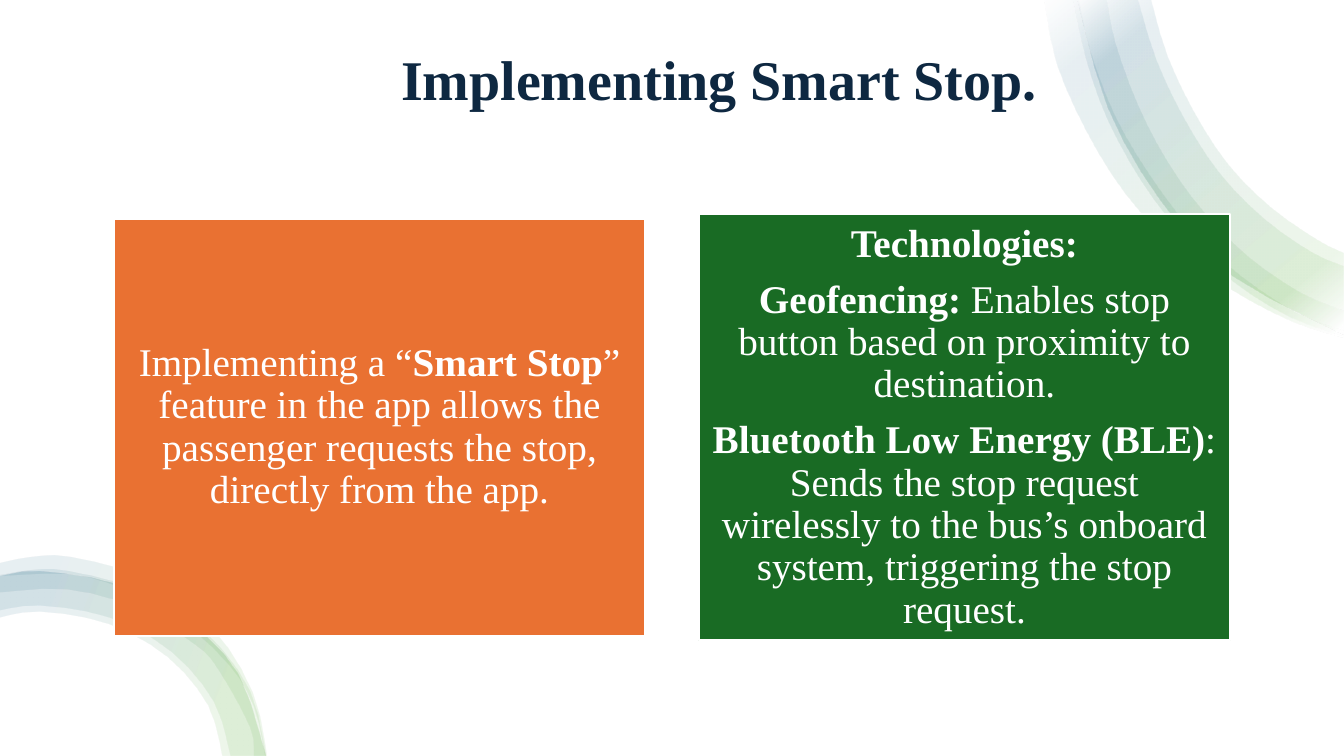
from dataclasses import dataclass

from pptx import Presentation
from pptx import util as u
from pptx.dml.color import RGBColor
from pptx.enum import shapes, text
from pptx.oxml import parse_xml
from pptx.oxml.ns import nsdecls, qn

FONT = "Times New Roman"
COLORS = {
    "white": "FFFFFF",
    "navy": "0E2841",
    "orange": "E97132",
    "forest": "196B24",
    "leaf": "4EA72E",
    "teal": "156082",
}
CORNER_STOPS = [(2, "white"), (16, "leaf"), (85, "teal"), (100, "white")]
FOOT_STOPS = CORNER_STOPS[1:3]
BAND_OPACITY = 10
CURVE_STEPS = 3
POINT_UNIT = 2.54
SLIDE_WIDTH = 33.87
SLIDE_HEIGHT = 19.05

Point = tuple[float, float]
Run = tuple[str, bool]


@dataclass
class Band:
    outer: list[Point]
    inner: list[Point]


@dataclass
class Card:
    left: float
    top: float
    width: float
    height: float
    color: str
    paragraphs: list[list[Run]]


CORNER_EDGE = [(10.69, 0), (10.99, 1.07), (11.52, 2), (12.23, 2.74), (13.33, 3.32)]
FOOT_EDGE = [(0, 5.72), (0.4, 5.67), (1.17, 5.8), (1.85, 6.16), (2.36, 6.69), (2.63, 7.5)]

CORNER_BANDS = [
    Band(
        [(10.36, 0), (10.48, 0.63), (10.78, 1.31), (11.16, 1.92), (11.65, 2.45),
         (12.21, 2.87), (12.82, 3.19), (13.33, 3.35)],
        [(13.33, 3.28), (12.86, 3.1), (12.3, 2.73), (11.81, 2.27), (11.4, 1.73),
         (11.06, 1.15), (10.82, 0.52), (10.7, 0)],
    ),
    Band(
        CORNER_EDGE,
        [(13.33, 2.51), (13.07, 2.38), (12.61, 2.06), (12.19, 1.64), (11.85, 1.12),
         (11.58, 0.55), (11.42, 0)],
    ),
    Band(
        [(10.65, 0), (10.78, 0.6), (10.99, 1.19), (11.32, 1.79), (11.73, 2.33),
         (12.23, 2.79), (12.79, 3.14), (13.33, 3.33)],
        [(13.33, 3.08), (12.9, 2.9), (12.39, 2.55), (11.95, 2.11), (11.58, 1.6),
         (11.29, 1.04), (11.07, 0.44), (10.98, 0)],
    ),
    Band(
        CORNER_EDGE,
        [(13.33, 2.64), (13.01, 2.5), (12.54, 2.17), (12.1, 1.72), (11.75, 1.18),
         (11.47, 0.59), (11.29, 0)],
    ),
]
FOOT_BANDS = [
    Band(
        FOOT_EDGE,
        [(2.2, 7.5), (2.06, 7), (1.66, 6.52), (1.07, 6.19), (0.4, 6.07), (0, 6.13)],
    ),
    Band(
        FOOT_EDGE,
        [(2.28, 7.5), (2.12, 6.97), (1.7, 6.47), (1.09, 6.13), (0.4, 6.01), (0, 6.06)],
    ),
    Band(
        [(0, 5.71), (0.31, 5.66), (0.69, 5.67), (1.42, 5.87), (2.03, 6.27), (2.47, 6.85), (2.63, 7.5)],
        [(2.51, 7.5), (2.47, 7.21), (2.15, 6.63), (1.92, 6.39), (1.34, 6.03), (0.67, 5.85), (0, 5.88)],
    ),
    Band(
        [(0, 5.59), (0.31, 5.53), (0.71, 5.53), (1.48, 5.75), (2.1, 6.23), (2.5, 6.87), (2.64, 7.5)],
        [(2.62, 7.5), (2.51, 7.01), (2.25, 6.58), (1.71, 6.09), (1.22, 5.84), (0.69, 5.7), (0, 5.72)],
    ),
]

CARDS = [
    Card(2.87, 5.52, 13.39, 10.5, "orange", [
        [("Implementing a “", False), ("Smart Stop", True),
         ("” feature in the app allows the passenger requests the stop, directly from the app.", False)],
    ]),
    Card(17.61, 5.4, 13.39, 10.74, "forest", [
        [("Technologies:", True)],
        [("Geofencing: ", True), ("Enables stop button based on proximity to destination.", False)],
        [("Bluetooth Low Energy (BLE)", True),
         (": Sends the stop request wirelessly to the bus’s onboard system, triggering the stop request.", False)],
    ]),
]


def rgb(name: str) -> RGBColor:
    return RGBColor.from_string(COLORS[name])


def format_font(font, size: float, color: str, bold: bool) -> None:
    font.name = FONT
    font.size = u.Pt(size)
    font.bold = bold
    font.color.rgb = rgb(color)


def smooth_edge(anchors: list[Point]) -> list[Point]:
    padded = [anchors[0], *anchors, anchors[-1]]
    points = [anchors[0]]
    for before, start, end, after in zip(padded, padded[1:], padded[2:], padded[3:]):
        for step in range(1, CURVE_STEPS + 1):
            t = step / CURVE_STEPS
            x, y = (
                b + ((c - a) * t + (2 * a - 5 * b + 4 * c - d) * t**2 + (3 * b - a - 3 * c + d) * t**3) / 2
                for a, b, c, d in zip(before, start, end, after)
            )
            points.append((x, y))
    return points


def apply_gradient(shape, stops: list[tuple[int, str]], angle: int) -> None:
    stop_xml = "".join(
        f'<a:gs pos="{position * 1000}"><a:srgbClr val="{COLORS[color]}">'
        f'<a:alpha val="{BAND_OPACITY * 1000}"/></a:srgbClr></a:gs>'
        for position, color in stops
    )
    gradient = parse_xml(
        f'<a:gradFill {nsdecls("a")} rotWithShape="1"><a:gsLst>{stop_xml}</a:gsLst>'
        f'<a:lin ang="{angle * 60000}" scaled="0"/></a:gradFill>'
    )
    shape.fill.background()
    properties = shape.element.spPr
    properties.replace(properties.find(qn("a:noFill")), gradient)


def draw_bands(slide, bands: list[Band], stops: list[tuple[int, str]], angle: int) -> None:
    for band in bands:
        outline = [
            (u.Cm(x * POINT_UNIT), u.Cm(y * POINT_UNIT))
            for x, y in smooth_edge(band.outer) + smooth_edge(band.inner)
        ]
        builder = slide.shapes.build_freeform(*outline[0])
        builder.add_line_segments(outline[1:], close=True)
        shape = builder.convert_to_shape()
        shape.shadow.inherit = False
        apply_gradient(shape, stops, angle)
        shape.line.fill.background()


def add_rectangle(slide, left: float, top: float, width: float, height: float, color: str):
    bounds = [u.Cm(value) for value in (left, top, width, height)]
    shape = slide.shapes.add_shape(shapes.MSO_SHAPE.RECTANGLE, *bounds)
    shape.shadow.inherit = False
    shape.fill.solid()
    shape.fill.fore_color.rgb = rgb(color)
    shape.line.fill.background()
    return shape


def draw_card(slide, card: Card) -> None:
    shape = add_rectangle(slide, card.left, card.top, card.width, card.height, card.color)
    shape.line.color.rgb = rgb("white")
    shape.line.width = u.Pt(1.5)
    frame = shape.text_frame
    frame.word_wrap = True
    frame.vertical_anchor = text.MSO_ANCHOR.MIDDLE
    frame.margin_left = frame.margin_right = frame.margin_top = frame.margin_bottom = u.Cm(0.3)
    for index, runs in enumerate(card.paragraphs):
        paragraph = frame.add_paragraph() if index else frame.paragraphs[0]
        paragraph.alignment = text.PP_ALIGN.CENTER
        paragraph.line_spacing = 0.9
        paragraph.space_after = u.Pt(9.8)
        for words, bold in runs:
            run = paragraph.add_run()
            run.text = words
            format_font(run.font, 28, "white", bold)


def set_title(title, words: str) -> None:
    title.left, title.top, title.width, title.height = u.Cm(2.24), u.Cm(1.27), u.Cm(29.39), u.Cm(3.3)
    frame = title.text_frame
    frame.text = words
    frame.auto_size = text.MSO_AUTO_SIZE.NONE
    frame.vertical_anchor = text.MSO_ANCHOR.TOP
    frame.margin_left, frame.margin_top = u.Cm(7.87), u.Cm(0.04)
    paragraph = frame.paragraphs[0]
    paragraph.alignment = text.PP_ALIGN.LEFT
    paragraph.line_spacing = 0.9
    format_font(paragraph.runs[0].font, 40, "navy", True)


def main() -> None:
    presentation = Presentation()
    presentation.slide_width, presentation.slide_height = u.Cm(SLIDE_WIDTH), u.Cm(SLIDE_HEIGHT)
    slide = presentation.slides.add_slide(presentation.slide_layouts[5])
    title = slide.shapes.title
    backdrop = add_rectangle(slide, 0, 0, SLIDE_WIDTH, SLIDE_HEIGHT, "white")
    title.element.addprevious(backdrop.element)
    set_title(title, "Implementing Smart Stop.")
    draw_bands(slide, CORNER_BANDS, CORNER_STOPS, 230)
    draw_bands(slide, FOOT_BANDS, FOOT_STOPS, 200)
    for card in CARDS:
        draw_card(slide, card)
    presentation.save("out.pptx")


if __name__ == "__main__":
    main()
